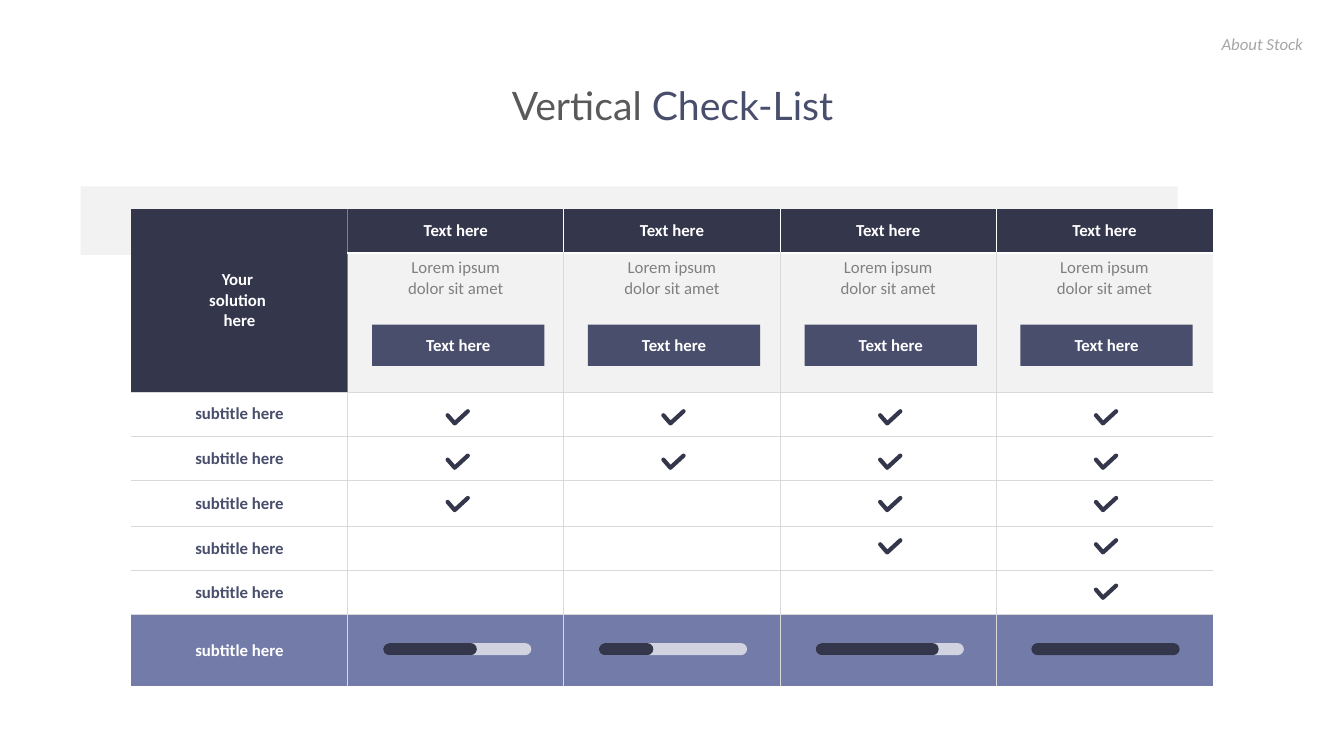
import pptx
import pptx.util
import pptx.dml.color
import pptx.enum.shapes
import pptx.enum.text
import pptx.oxml.ns
import lxml.etree

PX = 9144
COLORS = {
    "white": "FFFFFF", "pale": "F2F2F2", "rule": "D9D9D9", "silver": "A6A6A6",
    "gray": "808080", "charcoal": "595959", "navy": "34374C",
    "indigo": "494E6C", "violet": "737BA9", "track": "D2D3E0",
}
SHAPE = pptx.enum.shapes.MSO_SHAPE
ALIGN = pptx.enum.text.PP_ALIGN
ANCHOR = pptx.enum.text.MSO_ANCHOR

COL_WIDTHS = (215, 214, 215, 214, 215)
ROW_HEIGHTS = (44, 138, 44, 44, 45, 44, 44, 71)
LAST_COL = len(COL_WIDTHS) - 1
LAST_ROW = len(ROW_HEIGHTS) - 1
CHECK_TOPS = (408, 452, 494, 536, 581)
CHECK_COUNTS = (3, 2, 4, 5)
BAR_WIDTH = 147
BAR_FILLS = (93, 54, 122, 147)


def emu(*lengths):
    return [pptx.util.Emu(n * PX) for n in lengths]


def rgb(name):
    return pptx.dml.color.RGBColor.from_string(COLORS[name])


def vertical_edge(row, edge):
    if edge in (0, LAST_COL + 1):
        return None
    if row > 0:
        return "rule", 0.75
    return ("gray" if edge == 1 else "white"), 1


def horizontal_edge(edge, col):
    if edge in (0, LAST_ROW + 1):
        return None
    if edge == 1 and col > 0:
        return "white", 1
    return "rule", 0.75


class Deck:
    font = "Calibri"
    size = 12

    def __init__(self, width, height):
        self.prs = pptx.Presentation()
        self.prs.slide_width, self.prs.slide_height = emu(width, height)
        self.s = self.prs.slides.add_slide(self.prs.slide_layouts[6])

    def put_text(self, tf, lines, color, bold=False, italic=False, align=ALIGN.CENTER):
        for i, line in enumerate(lines):
            p = tf.add_paragraph() if i else tf.paragraphs[0]
            p.add_run().text = line
            p.alignment = align
            p.font.name = self.font
            p.font.size = pptx.util.Pt(self.size)
            p.font.bold = bold
            p.font.italic = italic
            p.font.color.rgb = rgb(color)

    def textbox(self, x, y, w, h):
        tf = self.s.shapes.add_textbox(*emu(x, y, w, h)).text_frame
        tf.word_wrap = True
        return tf

    def title(self, x, y, w, h, parts):
        p = self.textbox(x, y, w, h).paragraphs[0]
        p.alignment = ALIGN.CENTER
        p.font.name = "Lato"
        p.font.size = pptx.util.Pt(28)
        for text, color in parts:
            r = p.add_run()
            r.text = text
            r.font.color.rgb = rgb(color)

    def label(self, x, y, w, h, text):
        tf = self.textbox(x, y, w, h)
        self.put_text(tf, [text], "silver", italic=True, align=ALIGN.RIGHT)
        tf.paragraphs[0].line_spacing = 1.2

    def box(self, kind, x, y, w, h, fill):
        sp = self.s.shapes.add_shape(kind, *emu(x, y, w, h))
        sp.shadow.inherit = False
        sp.fill.solid()
        sp.fill.fore_color.rgb = rgb(fill)
        sp.line.fill.background()
        return sp

    def button(self, x, y, w, h, text):
        tf = self.box(SHAPE.RECTANGLE, x, y, w, h, "indigo").text_frame
        tf.vertical_anchor = ANCHOR.MIDDLE
        self.put_text(tf, [text], "white", bold=True)

    def bar(self, x, y, w, h, fill):
        self.box(SHAPE.ROUNDED_RECTANGLE, x, y, w, h, fill).adjustments[0] = 0.5

    def check(self, x, y):
        fb = self.s.shapes.build_freeform(x, y + 4, scale=PX)
        fb.add_line_segments([(x + 7, y + 12), (x + 20, y)], close=False)
        sp = fb.convert_to_shape()
        sp.shadow.inherit = False
        sp.fill.background()
        sp.line.color.rgb = rgb("navy")
        sp.line.width = pptx.util.Pt(3)
        qn = pptx.oxml.ns.qn
        ln = sp.element.spPr.find(qn("a:ln"))
        ln.set("cap", "rnd")
        lxml.etree.SubElement(ln, qn("a:round"))

    def table(self, x, y, widths, heights):
        size = emu(x, y, sum(widths), sum(heights))
        tbl = self.s.shapes.add_table(len(heights), len(widths), *size).table
        tbl.first_row = tbl.horz_banding = False
        for col, w in zip(tbl.columns, emu(*widths)):
            col.width = w
        for row, h in zip(tbl.rows, emu(*heights)):
            row.height = h
        return tbl

    def cell(self, tbl, row, col, fill, lines=(), color="white", bold=True, anchor=ANCHOR.MIDDLE):
        c = tbl.cell(row, col)
        edges = {
            "L": vertical_edge(row, col), "R": vertical_edge(row, col + 1),
            "T": horizontal_edge(row, col), "B": horizontal_edge(row + 1, col),
        }
        qn = pptx.oxml.ns.qn
        tc_pr = c._tc.get_or_add_tcPr()
        for side, edge in edges.items():
            ln = lxml.etree.SubElement(tc_pr, qn("a:ln" + side))
            if edge is None:
                lxml.etree.SubElement(ln, qn("a:noFill"))
                continue
            name, width = edge
            ln.set("w", str(pptx.util.Pt(width)))
            solid = lxml.etree.SubElement(ln, qn("a:solidFill"))
            lxml.etree.SubElement(solid, qn("a:srgbClr"), val=COLORS[name])
        c.fill.solid()
        c.fill.fore_color.rgb = rgb(fill)
        c.vertical_anchor = anchor
        self.put_text(c.text_frame, lines, color, bold)


def main():
    deck = Deck(1333, 750)
    deck.box(SHAPE.RECTANGLE, 80, 185, 1088, 68, "pale")
    deck.title(92, 76, 1150, 113, [("Vertical ", "charcoal"), ("Check-List", "indigo")])

    tbl = deck.table(130, 207, COL_WIDTHS, ROW_HEIGHTS)
    deck.cell(tbl, 0, 0, "navy", ["Your ", "solution ", "here"])
    deck.cell(tbl, 1, 0, "navy")
    tbl.cell(0, 0).merge(tbl.cell(1, 0))
    for col in range(1, LAST_COL + 1):
        deck.cell(tbl, 0, col, "navy", ["Text here"])
        deck.cell(tbl, 1, col, "pale", ["Lorem ipsum", "dolor sit amet"], "gray", False, ANCHOR.TOP)
    for row in range(2, LAST_ROW + 1):
        fill, color = ("violet", "white") if row == LAST_ROW else ("white", "indigo")
        deck.cell(tbl, row, 0, fill, ["subtitle here"], color)
        for col in range(1, LAST_COL + 1):
            deck.cell(tbl, row, col, fill)

    for i, (checks, filled) in enumerate(zip(CHECK_COUNTS, BAR_FILLS)):
        offset = round(i * 214.4)
        deck.button(369 + offset, 322, 171, 41, "Text here")
        for top in CHECK_TOPS[:checks]:
            deck.check(444 + offset, top)
        if filled < BAR_WIDTH:
            deck.bar(380 + offset, 638, BAR_WIDTH, 12, "track")
        deck.bar(380 + offset, 638, filled, 12, "navy")

    deck.label(884, 25, 418, 33, "About Stock")
    deck.prs.save("out.pptx")


if __name__ == "__main__":
    main()
